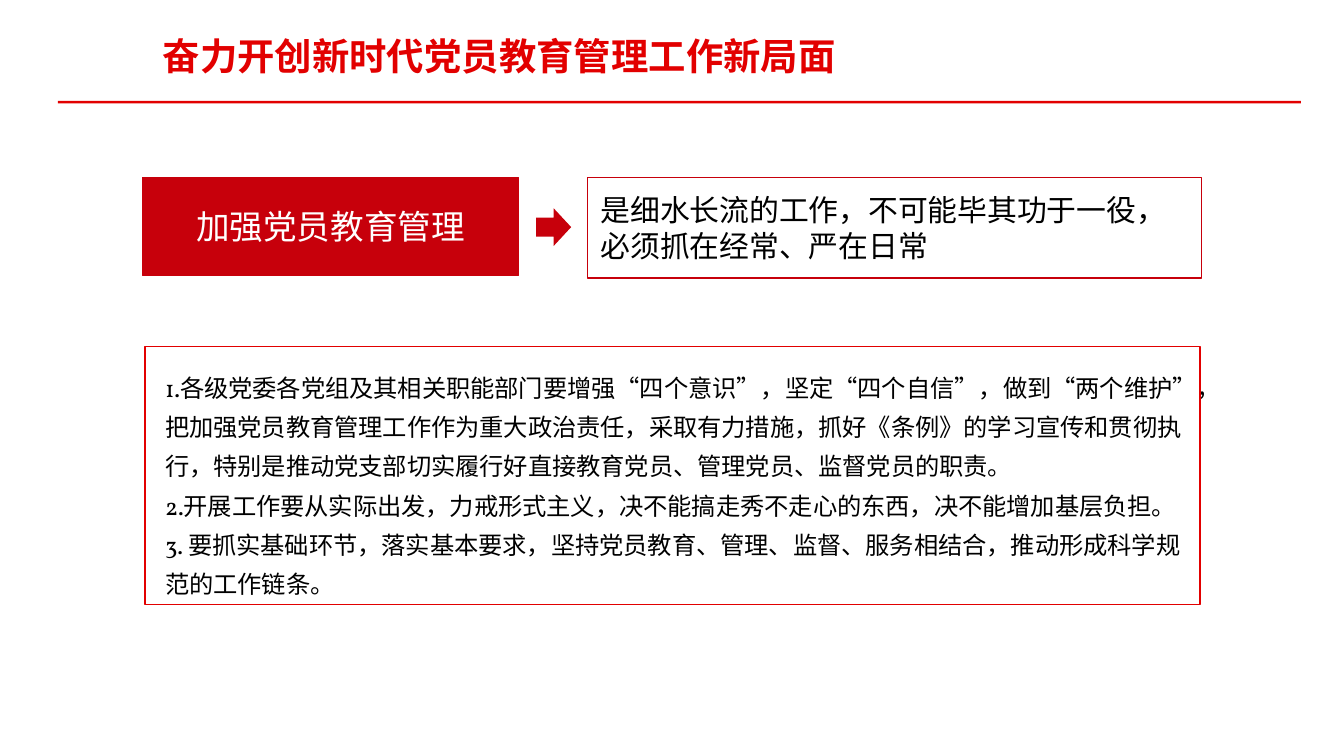
from pptx import Presentation
from pptx.dml.color import RGBColor
from pptx.enum.lang import MSO_LANGUAGE_ID as Language
from pptx.enum.shapes import MSO_SHAPE as Shape
from pptx.enum.text import MSO_ANCHOR as Anchor, MSO_AUTO_SIZE as AutoSize, PP_ALIGN as Align
from pptx.util import Inches, Pt

FONT = "Vollkorn"
RED = RGBColor(0xE2, 0x00, 0x00)
DEEP_RED = RGBColor(0xC7, 0x00, 0x0B)
BLACK = RGBColor(0, 0, 0)
WHITE = RGBColor(0xFF, 0xFF, 0xFF)

TITLE = "奋力开创新时代党员教育管理工作新局面"
TOPIC = "加强党员教育管理"
STATEMENT = "是细水长流的工作，不可能毕其功于一役，必须抓在经常、严在日常"
REQUIREMENTS = [
    "1.各级党委各党组及其相关职能部门要增强“四个意识”，坚定“四个自信”，做到“两个维护”，"
    "把加强党员教育管理工作作为重大政治责任，采取有力措施，抓好《条例》的学习宣传和贯彻执行，"
    "特别是推动党支部切实履行好直接教育党员、管理党员、监督党员的职责。",
    "2.开展工作要从实际出发，力戒形式主义，决不能搞走秀不走心的东西，决不能增加基层负担。",
    "3. 要抓实基础环节，落实基本要求，坚持党员教育、管理、监督、服务相结合，"
    "推动形成科学规范的工作链条。",
]


def place(shape, left, top, width, height):
    shape.left, shape.top = Inches(left), Inches(top)
    shape.width, shape.height = Inches(width), Inches(height)


def write(shape, texts, size, color, bold=False, align=Align.LEFT,
          anchor=Anchor.TOP, spacing=1.0):
    frame = shape.text_frame
    frame.word_wrap = True
    frame.auto_size = AutoSize.NONE
    frame.vertical_anchor = anchor
    for index, text in enumerate(texts):
        paragraph = frame.add_paragraph() if index else frame.paragraphs[0]
        paragraph.alignment = align
        paragraph.line_spacing = spacing
        paragraph.space_before = Pt(0)
        run = paragraph.add_run()
        run.text = text
        run.font.language_id = Language.SIMPLIFIED_CHINESE
        run.font.name = FONT
        run.font.size = Pt(size)
        run.font.bold = bold
        run.font.color.rgb = color


def add_block(shapes, kind, box, fill=None, line=None):
    block = shapes.add_shape(kind, *map(Inches, box))
    block.shadow.inherit = False
    if fill is None:
        block.fill.background()
    else:
        block.fill.solid()
        block.fill.fore_color.rgb = fill
    if line is None:
        block.line.fill.background()
    else:
        block.line.color.rgb = line
        block.line.width = Pt(0.75)
    return block


def add_heading(slide):
    title = slide.shapes.title
    place(title, 1.14, 0.21, 6.77, 0.41)
    frame = title.text_frame
    frame.margin_left = frame.margin_right = Inches(0.07)
    frame.margin_top = frame.margin_bottom = Inches(0.04)
    write(title, [TITLE], 20, RED, bold=True)
    add_block(slide.shapes, Shape.RECTANGLE, (0.43, 0.75, 9.25, 0.02), fill=RED)


def add_topic_row(shapes):
    statement = add_block(shapes, Shape.RECTANGLE, (4.37, 1.32, 4.57, 0.75), line=DEEP_RED)
    write(statement, [STATEMENT], 16, BLACK, anchor=Anchor.MIDDLE)
    topic = add_block(shapes, Shape.RECTANGLE, (1.06, 1.32, 2.8, 0.73), DEEP_RED, DEEP_RED)
    write(topic, [TOPIC], 18, WHITE, align=Align.CENTER, anchor=Anchor.MIDDLE)
    add_block(shapes, Shape.RIGHT_ARROW, (3.99, 1.55, 0.26, 0.28), fill=DEEP_RED)


def add_requirements(shapes):
    panel = shapes.add_group_shape().shapes
    body = panel.add_textbox(*map(Inches, (1.13, 2.65, 7.87, 1.85)))
    write(body, REQUIREMENTS, 13, BLACK, spacing=1.35)
    add_block(panel, Shape.RECTANGLE, (1.08, 2.58, 7.85, 1.92), line=RED)


def main():
    deck = Presentation()
    # Widescreen, 16:9
    deck.slide_width, deck.slide_height = Inches(10), Inches(10 * 9 / 16)
    slide = deck.slides.add_slide(deck.slide_layouts[5])
    # Title with its rule, topic and statement, numbered requirements
    add_heading(slide)
    add_topic_row(slide.shapes)
    add_requirements(slide.shapes)
    deck.save("out.pptx")


if __name__ == "__main__":
    main()
